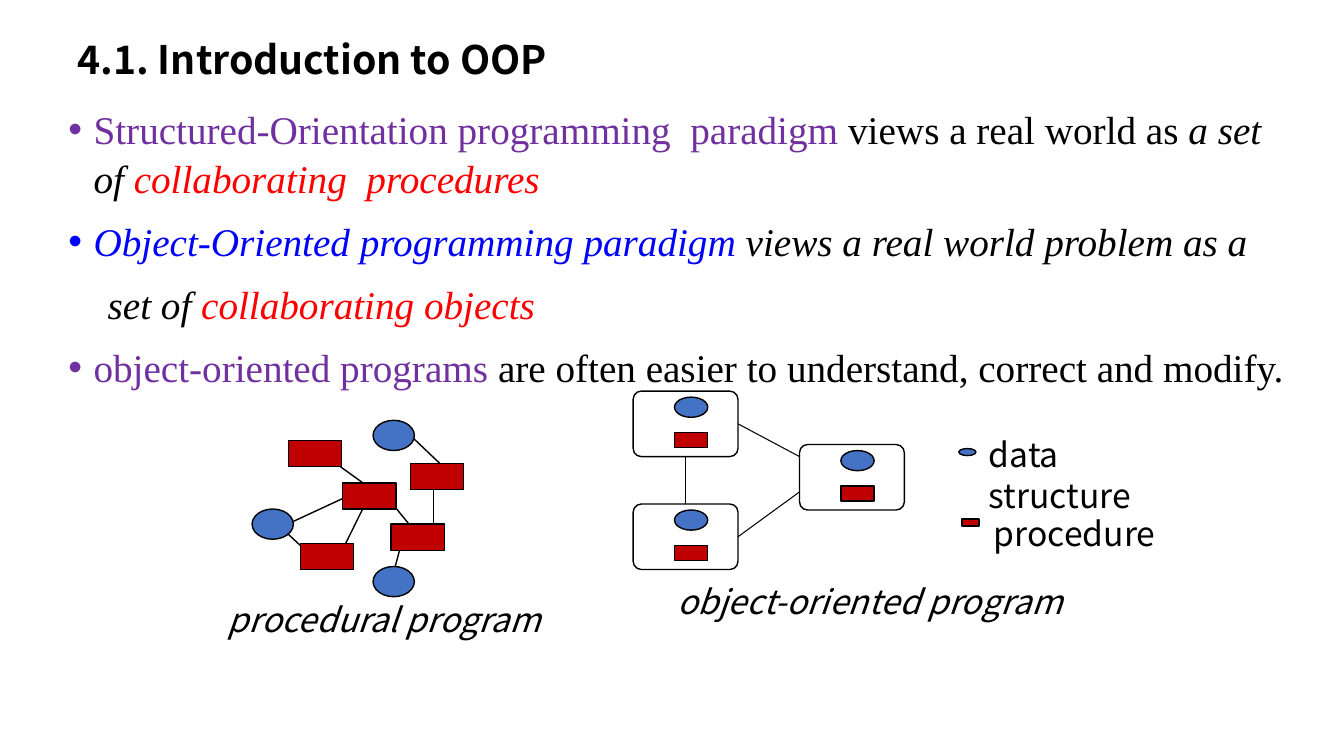
from dataclasses import dataclass

from lxml import etree
from pptx import Presentation
from pptx.dml.color import RGBColor
from pptx.enum.shapes import MSO_CONNECTOR as Connector, MSO_SHAPE as Shape
from pptx.enum.text import MSO_ANCHOR as Anchor
from pptx.oxml.ns import qn
from pptx.util import Inches, Pt


@dataclass(frozen=True)
class Theme:
    black: str = "000000"
    purple: str = "7030A0"
    red: str = "FF0000"
    blue: str = "0000FF"
    data: str = "4472C4"
    procedure: str = "C00000"
    heading_font: str = "Noto Sans CJK KR"
    body_font: str = "Times New Roman"
    large: int = 28
    label: int = 24
    outline: float = 1
    link: float = 0.75


def add_run(paragraph, text, *, font, size, color, bold=False, italic=False):
    run = paragraph.add_run()
    run.text = text
    run.font.name = font
    run.font.size = Pt(size)
    run.font.bold = bold
    run.font.italic = italic
    run.font.color.rgb = RGBColor.from_string(color)


def set_indent(paragraph, left, bullet):
    """Indent a paragraph; a bulleted one hangs by its whole indent."""
    properties = paragraph._p.get_or_add_pPr()
    properties.set("marL", str(Inches(left)))
    properties.set("indent", str(Inches(-left if bullet else 0)))
    if bullet:
        etree.SubElement(properties, qn("a:buFont")).set("typeface", "Arial")
        etree.SubElement(properties, qn("a:buChar")).set("char", "•")


class SlideBuilder:
    def __init__(self, slide, theme):
        self.slide = slide
        self.theme = theme

    def text_frame(self, left, top, width, height, anchor=Anchor.TOP):
        box = self.slide.shapes.add_textbox(*map(Inches, (left, top, width, height)))
        frame = box.text_frame
        frame.word_wrap = True
        frame.vertical_anchor = anchor
        return frame

    def title(self, text):
        frame = self.text_frame(0.67, 0.3, 12, 0.62, Anchor.MIDDLE)
        frame.paragraphs[0].line_spacing = 0.9
        add_run(frame.paragraphs[0], text, font=self.theme.heading_font,
                size=self.theme.large, color=self.theme.black, bold=True)

    def body(self, paragraphs):
        """Each paragraph is (indent, bullet, runs); a run is (text, color, italic)."""
        frame = self.text_frame(0.58, 0.98, 12.34, 5.79)
        for number, (indent, bullet, runs) in enumerate(paragraphs):
            paragraph = frame.add_paragraph() if number else frame.paragraphs[0]
            paragraph.space_before = Pt(10)
            paragraph.line_spacing = 1.04
            set_indent(paragraph, indent, bullet)
            for text, color, italic in runs:
                add_run(paragraph, text, font=self.theme.body_font,
                        size=self.theme.large, color=color, italic=italic)

    def label(self, lines, left, top, width, height, italic=False):
        frame = self.text_frame(left, top, width, height)
        for number, line in enumerate(lines):
            paragraph = frame.add_paragraph() if number else frame.paragraphs[0]
            add_run(paragraph, line, font=self.theme.heading_font,
                    size=self.theme.label, color=self.theme.black, italic=italic)

    def shape(self, kind, left, top, width, height, fill=None):
        shape = self.slide.shapes.add_shape(kind, *map(Inches, (left, top, width, height)))
        shape.shadow.inherit = False
        if fill:
            shape.fill.solid()
            shape.fill.fore_color.rgb = RGBColor.from_string(fill)
        else:
            shape.fill.background()
        shape.line.color.rgb = RGBColor.from_string(self.theme.black)
        shape.line.width = Pt(self.theme.outline)
        return shape

    def data(self, left, top, width=0.41, height=0.3):
        self.shape(Shape.OVAL, left, top, width, height, self.theme.data)

    def procedure(self, left, top, width=0.53, height=0.26):
        self.shape(Shape.RECTANGLE, left, top, width, height, self.theme.procedure)

    def object_box(self, left, top):
        """Draw an object that holds one data structure and one procedure."""
        self.data(left + 0.41, top + 0.06, 0.33, 0.2)
        self.procedure(left + 0.41, top + 0.41, 0.33, 0.15)
        box = self.shape(Shape.ROUNDED_RECTANGLE, left, top, 1.04, 0.65)
        box.adjustments[0] = 0.125
        return box

    def line(self, x1, y1, x2, y2, width):
        connector = self.slide.shapes.add_connector(
            Connector.STRAIGHT, *map(Inches, (x1, y1, x2, y2)))
        connector.line.color.rgb = RGBColor.from_string(self.theme.black)
        connector.line.width = Pt(width)
        etree.SubElement(connector._element.spPr, qn("a:effectLst"))
        return connector


def draw_procedural_program(builder):
    links = [
        (3.21, 4.51, 3.64, 4.82), (4.06, 4.31, 4.48, 4.71),
        (4.3, 4.74, 4.3, 5.32), (3.82, 4.91, 4.18, 5.35),
        (3.39, 5.47, 3.7, 4.84), (2.85, 5.2, 3.52, 4.89),
        (2.73, 5.18, 3.16, 5.58), (3.88, 5.77, 4, 5.32),
    ]
    for link in links:
        builder.line(*link, builder.theme.outline)
    for left, top in [(3.7, 4.17), (2.5, 5.05), (3.7, 5.62)]:
        builder.data(left, top)
    for left, top in [(2.86, 4.37), (4.07, 4.6), (3.4, 4.79), (2.98, 5.39), (3.88, 5.2)]:
        builder.procedure(left, top)
    builder.label(["procedural program"], 2.16, 5.89, 3.67, 0.5, italic=True)


def draw_object_program(builder):
    upper, lower, _ = [builder.object_box(left, top)
                       for left, top in [(6.28, 3.88), (6.28, 5), (7.93, 4.41)]]
    width = builder.theme.link
    vertical = builder.line(6.8, 4.53, 6.8, 5, width)
    vertical.begin_connect(upper, 2)
    vertical.end_connect(lower, 0)
    builder.line(7.32, 4.2, 7.93, 4.53, width).begin_connect(upper, 3)
    builder.line(7.32, 5.33, 7.93, 4.88, width).begin_connect(lower, 3)
    builder.label(["object-oriented program"], 6.62, 5.71, 4.46, 0.5, italic=True)


def draw_legend(builder):
    builder.data(9.51, 4.45, 0.17, 0.07)
    builder.label(["data", "structure"], 9.71, 4.26, 1.74, 0.91)
    builder.procedure(9.54, 5.15, 0.17, 0.07)
    builder.label(["procedure"], 9.76, 5.04, 1.91, 0.51)


def main():
    theme = Theme()
    presentation = Presentation()
    presentation.slide_width = Inches(13.33)
    presentation.slide_height = Inches(7.5)
    slide = presentation.slides.add_slide(presentation.slide_layouts[6])
    builder = SlideBuilder(slide, theme)
    builder.title("4.1. Introduction to OOP")
    builder.body([
        (0.25, True, [
            ("Structured-Orientation programming  paradigm ", theme.purple, False),
            ("views a real world as ", theme.black, False),
            ("a set of", theme.black, True),
            (" collaborating  procedures", theme.red, True)]),
        (0.25, True, [
            ("Object-Oriented programming paradigm ", theme.blue, True),
            ("views a real world problem as a", theme.black, True)]),
        (0.39, False, [
            ("set of ", theme.black, True),
            ("collaborating objects", theme.red, True)]),
        (0.25, True, [
            ("object-oriented programs ", theme.purple, False),
            ("are often easier to understand, correct and modify.", theme.black, False)]),
    ])
    draw_procedural_program(builder)
    draw_object_program(builder)
    draw_legend(builder)
    presentation.save("out.pptx")


if __name__ == "__main__":
    main()
